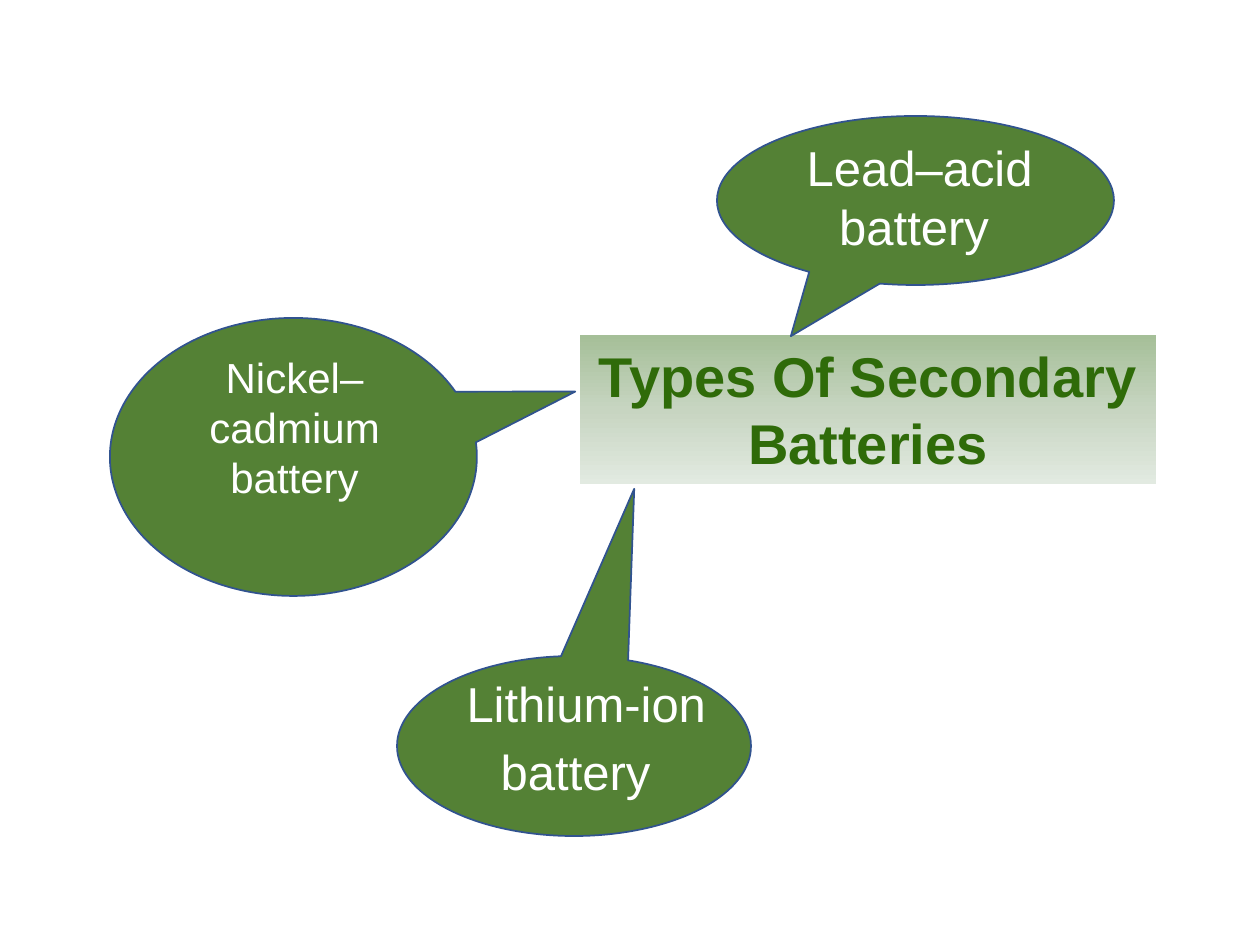
from copy import deepcopy

from pptx import Presentation
from pptx import util as u
from pptx.dml.color import RGBColor
from pptx.enum import shapes, text

EMU_PER_PX = 914400 / 126
COLORS = {
    "title": "2F6B09",
    "bubble": "548135",
    "outline": "31538F",
    "label": "FFFFFF",
    "lead": "000000",
    "band_top": "A5BF98",
    "band_middle": "C7D5C1",
    "band_bottom": "E2EAE1",
}


def px(*lengths):
    return [u.Emu(round(length * EMU_PER_PX)) for length in lengths]


def write(shape, runs):
    """Fill the shape with one centred paragraph of (text, size, font, colour) runs."""
    frame = shape.text_frame
    frame.word_wrap = True
    frame.auto_size = text.MSO_AUTO_SIZE.SHAPE_TO_FIT_TEXT
    frame.vertical_anchor = text.MSO_ANCHOR.TOP
    para = frame.paragraphs[0]
    para.alignment = text.PP_ALIGN.CENTER
    for words, size, font, color in runs:
        span = para.add_run()
        span.text = words
        span.font.size = u.Pt(size)
        span.font.name = font
        span.font.color.rgb = RGBColor.from_string(COLORS[color])
    return para


deck = Presentation()
deck.slide_width, deck.slide_height = px(1260, 945)
page = deck.slides.add_slide(deck.slide_layouts[6])

# Title band with a vertical three-stop gradient
band = page.shapes.add_shape(shapes.MSO_SHAPE.RECTANGLE, *px(580, 335, 576, 149))
band.shadow.inherit = False
band.line.fill.background()
band.fill.gradient()
band.fill.gradient_angle = 270
first_stop = band._element.spPr.xpath(".//a:gs")[0]
first_stop.addnext(deepcopy(first_stop))
stops = zip(band.fill.gradient_stops, (0, 0.5, 1), ("band_top", "band_middle", "band_bottom"))
for stop, position, color in stops:
    stop.position = position
    stop.color.rgb = RGBColor.from_string(COLORS[color])
title = write(band, [("Types Of Secondary Batteries", 32, "Arial", "title")])
title.runs[0].font.bold = True

# Each battery: bubble place, rotation, pointer tip, label place, label runs
batteries = [
    ((717, 116, 397, 169), 0, (-0.314, 0.803), (767, 131, 294, 131),
     [(" ", 28, "Calibri", "lead"), ("Lead–acid battery", 28, "Arial", "label")]),
    ((110, 318, 367, 278), 0, (0.768, -0.235), (178, 345, 233, 165),
     [("Nickel–cadmium battery", 24, "Arial", "label")]),
    ((397, 656, 354, 180), 180, (-0.17, 1.429), (391, 622, 369, 186),
     [(" ", 54, "Calibri", "lead"), ("Lithium-ion battery", 28, "Arial", "label")]),
]
for place, rotation, tip, label_place, runs in batteries:
    bubble = page.shapes.add_shape(shapes.MSO_SHAPE.OVAL_CALLOUT, *px(*place))
    bubble.shadow.inherit = False
    bubble.rotation = rotation
    bubble.adjustments[0], bubble.adjustments[1] = tip
    bubble.fill.solid()
    bubble.fill.fore_color.rgb = RGBColor.from_string(COLORS["bubble"])
    bubble.line.color.rgb = RGBColor.from_string(COLORS["outline"])
    bubble.line.width = u.Pt(1)
    label = page.shapes.add_textbox(*px(*label_place))
    write(label, runs)

deck.save("out.pptx")
